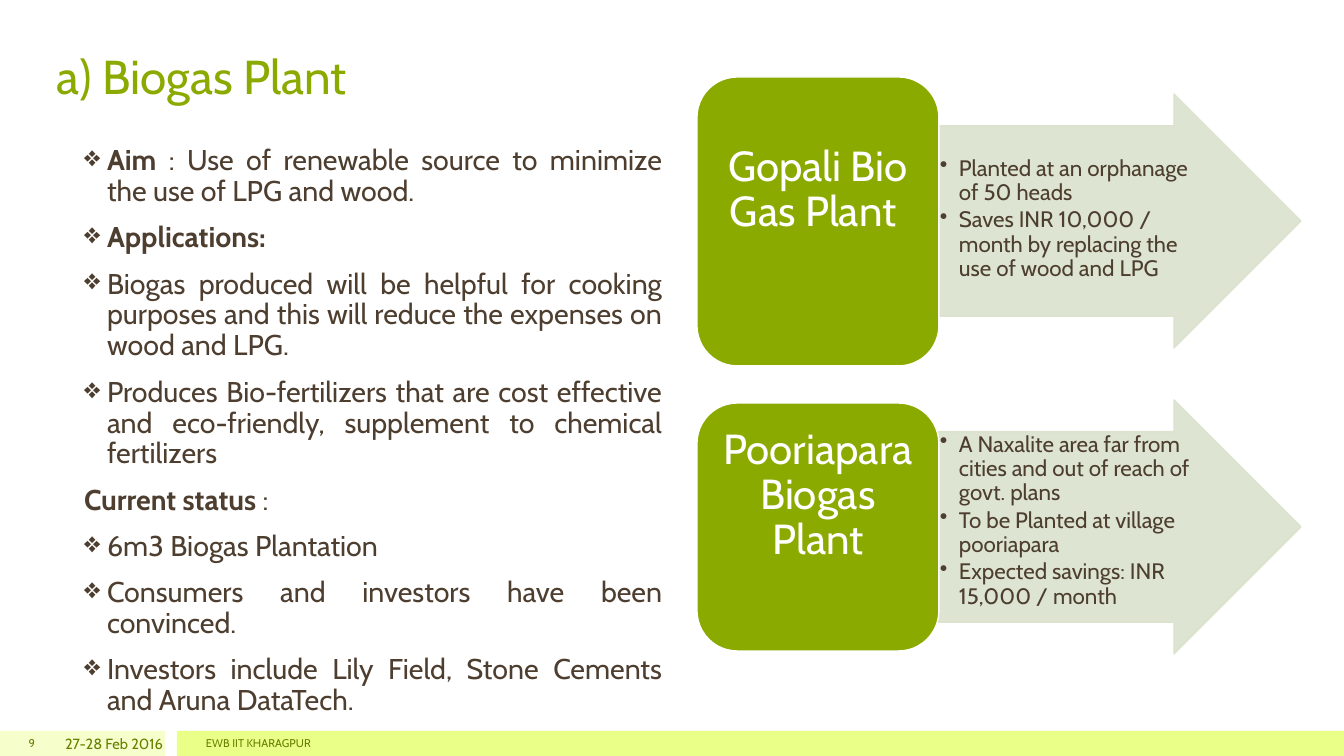
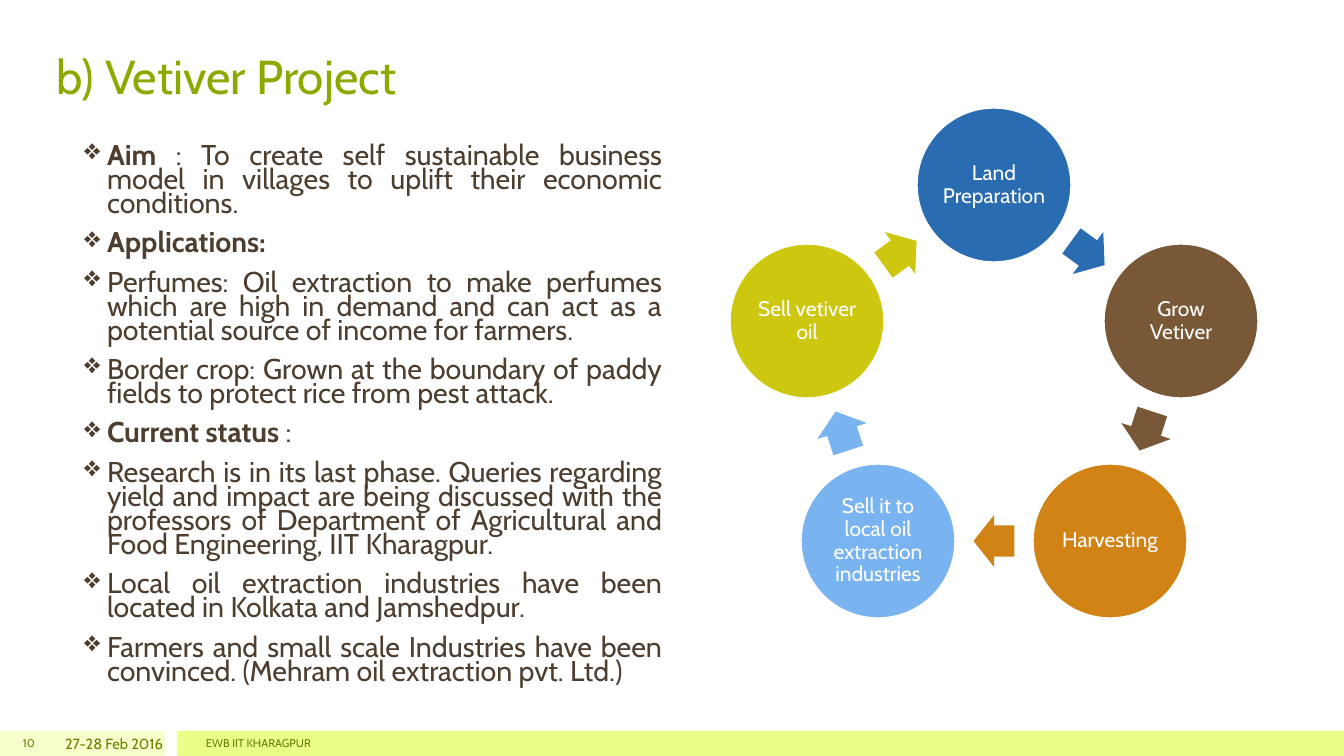
import math
from dataclasses import dataclass, replace
from lxml import etree
from pptx import Presentation
from pptx import util as u
from pptx.dml.color import RGBColor
from pptx.enum import shapes, text
from pptx.oxml.ns import qn

EMU_PER_PX = 914400 / 100.8
Kind = shapes.MSO_SHAPE
Align = text.PP_ALIGN
Anchor = text.MSO_ANCHOR


@dataclass(frozen=True)
class TextStyle:
    size: float
    color: str
    align: int = Align.LEFT
    line_spacing: float = 1.0
    before: float = 0
    after: float = 0
    bullet: str = ""
    indent: int = 0


@dataclass(frozen=True)
class Theme:
    font: str = "Cabin"
    green: str = "8BAA00"
    white: str = "FFFFFF"
    arrow: str = "DAE2CC"
    band_light: str = "F6FFCC"
    band_strong: str = "E9FF88"
    cycle: tuple = ("2A6CB2", "795837", "D18316", "79B4F0", "CDC80F")
    title: TextStyle = TextStyle(34, "8BAA00")
    body: TextStyle = TextStyle(20.4, "4D3E2F", Align.JUSTIFY, 0.9, before=11, bullet="❖", indent=23)
    detail: TextStyle = TextStyle(16, "4D3E2F", line_spacing=0.9, after=2.4, bullet="•", indent=19)
    card: TextStyle = TextStyle(30, "FFFFFF", Align.CENTER, 0.9)
    step: TextStyle = TextStyle(15, "FFFFFF", Align.CENTER, 0.9)
    footer: TextStyle = TextStyle(8, "688000")
    number: TextStyle = TextStyle(8, "688000", Align.RIGHT)
    date: TextStyle = TextStyle(10.5, "688000", Align.RIGHT)


theme = Theme()


def place(slide, kind, box, fill=None, line=None):
    """Add a preset shape, or a text box when kind is None; box is in px."""
    left, top, width, height = (round(value * EMU_PER_PX) for value in box)
    if kind is None:
        return slide.shapes.add_textbox(left, top, width, height)
    shape = slide.shapes.add_shape(kind, left, top, width, height)
    shape.shadow.inherit = False
    shape.fill.solid()
    shape.fill.fore_color.rgb = RGBColor.from_string(fill)
    if line:
        shape.line.color.rgb = RGBColor.from_string(line)
        shape.line.width = u.Pt(1)
    else:
        shape.line.fill.background()
    return shape


def write(shape, items, anchor=Anchor.MIDDLE, insets=(10, 5, 10, 5)):
    """Fill a shape with (style, runs) paragraphs; each run is (words, bold)."""
    frame = shape.text_frame
    frame.word_wrap = True
    frame.vertical_anchor = anchor
    frame.margin_left, frame.margin_top, frame.margin_right, frame.margin_bottom = (
        round(inset * EMU_PER_PX) for inset in insets)
    for index, (style, runs) in enumerate(items):
        paragraph = frame.add_paragraph() if index else frame.paragraphs[0]
        paragraph.alignment = style.align
        paragraph.line_spacing = style.line_spacing
        paragraph.space_before = u.Pt(style.before)
        paragraph.space_after = u.Pt(style.after)
        if style.bullet:
            properties = paragraph._p.get_or_add_pPr()
            indent = round(style.indent * EMU_PER_PX)
            properties.set("marL", str(indent))
            properties.set("indent", str(-indent))
            etree.SubElement(properties, qn("a:buChar")).set("char", style.bullet)
        for words, bold in runs:
            run = paragraph.add_run()
            run.text = words
            run.font.name = theme.font
            run.font.size = u.Pt(style.size)
            run.font.bold = bold
            run.font.color.rgb = RGBColor.from_string(style.color)


presentation = Presentation()
presentation.slide_width = round(1344 * EMU_PER_PX)
presentation.slide_height = round(756 * EMU_PER_PX)

plain = theme.body
unbulleted = replace(plain, bullet="")
tight = replace(plain, line_spacing=0.7)

pages = [
    ("9", "a) Biogas Plant", [
        (plain, [("Aim ", True), (": Use of renewable source to minimize the use of LPG and wood.", False)]),
        (plain, [("Applications:", True)]),
        (plain, [("Biogas produced will be helpful for cooking purposes and this will "
                  "reduce the expenses on wood and LPG.", False)]),
        (plain, [("Produces Bio-fertilizers that are cost effective and eco-friendly, "
                  "supplement to chemical fertilizers", False)]),
        (unbulleted, [("Current status ", True), (":", False)]),
        (plain, [("6m3 Biogas Plantation", False)]),
        (plain, [("Consumers and investors have been convinced.", False)]),
        (plain, [("Investors include Lily Field, Stone Cements and Aruna DataTech.", False)]),
    ]),
    ("10", "b) Vetiver Project", [
        (tight, [("Aim ", True), (": To create self sustainable business model in villages "
                                  "to uplift their economic conditions.", False)]),
        (tight, [("Applications:", True)]),
        (tight, [("Perfumes: Oil extraction to make perfumes which are high in demand and "
                  "can act as a potential source of income for farmers.", False)]),
        (tight, [("Border crop: Grown at the boundary of paddy fields to protect rice "
                  "from pest attack.", False)]),
        (tight, [("Current status ", True), (":", False)]),
        (tight, [("Research is in its last phase. Queries regarding yield and impact are being "
                  "discussed with the professors of Department of Agricultural and Food "
                  "Engineering, IIT Kharagpur.", False)]),
        (tight, [("Local oil extraction industries have been located in Kolkata and Jamshedpur.", False)]),
        (tight, [("Farmers and small scale Industries have been convinced. "
                  "(Mehram oil extraction pvt. Ltd.)", False)]),
    ]),
]

# Shared frame: bands, title, body and footer
slides = []
for number, title, body in pages:
    slide = presentation.slides.add_slide(presentation.slide_layouts[6])
    slides.append(slide)
    place(slide, Kind.RECTANGLE, (0, 731, 165, 25), theme.band_light)
    place(slide, Kind.RECTANGLE, (177, 731, 1167, 25), theme.band_strong)
    write(place(slide, None, (47, 0, 1032, 109)), [(theme.title, [(title, False)])], Anchor.BOTTOM)
    write(place(slide, None, (74, 141, 598, 560)), body, Anchor.TOP)
    for left, width, style, words in [
        (0, 45, theme.number, number),
        (45, 128, theme.date, "27-28 Feb 2016"),
        (196, 1008, theme.footer, "EWB IIT KHARAGPUR"),
    ]:
        write(place(slide, None, (left, 731, width, 25)), [(style, [(words, False)])])

biogas_slide, vetiver_slide = slides

# Plants: a card with an arrow of details
plants = [
    ("Gopali Bio Gas Plant ", 77, 289, 94, 31, [
        "Planted at an orphanage of 50 heads",
        "Saves INR 10,000 / month by replacing the use of wood and LPG",
    ]),
    ("Pooriapara Biogas Plant", 403, 248, 400, 1, [
        "A Naxalite area far from cities and out of reach of govt. plans",
        "To be Planted at village pooriapara",
        "Expected savings: INR 15,000 / month",
    ]),
]
for name, card_top, card_height, arrow_top, text_inset, details in plants:
    arrow = place(biogas_slide, Kind.RIGHT_ARROW, (938, arrow_top, 363, 254), theme.arrow, theme.arrow)
    arrow.adjustments[0] = 0.75
    arrow.adjustments[1] = 0.5
    for color in arrow._element.spPr.iter(qn("a:srgbClr")):
        etree.SubElement(color, qn("a:alpha")).set("val", "90000")
    detail_box = place(biogas_slide, None, (939, arrow_top + 32, 268, 190))
    write(detail_box, [(theme.detail, [(detail, False)]) for detail in details],
          Anchor.TOP, (1, text_inset, 1, 1))
    card = place(biogas_slide, Kind.ROUNDED_RECTANGLE, (697, card_top, 242, card_height),
                 theme.green, theme.white)
    write(card, [(theme.card, [(name, False)])], insets=(12, 6, 12, 68))

# Cycle: circles on a ring, each followed by an arrow halfway to the next
steps = ["Land Preparation", "Grow Vetiver", "Harvesting",
         "Sell it to local oil extraction industries", "Sell vetiver oil"]
center_x, center_y, radius = 994, 382, 197
diameter, arrow_length, arrow_width = 154, 41, 52
sector = 360 / len(steps)
arrow_radius = radius * math.cos(math.radians(sector / 2))
for index, (step, color) in enumerate(zip(steps, theme.cycle)):
    angle = math.radians(index * sector - 90)
    x = round(center_x + radius * math.cos(angle))
    y = round(center_y + radius * math.sin(angle))
    circle = place(vetiver_slide, Kind.OVAL,
                   (x - diameter / 2, y - diameter / 2, diameter, diameter), color, theme.white)
    write(circle, [(theme.step, [(step, False)])], insets=(2, 2, 2, 2))

    angle += math.radians(sector / 2)
    x = round(center_x + arrow_radius * math.cos(angle))
    y = round(center_y + arrow_radius * math.sin(angle))
    arrow = place(vetiver_slide, Kind.RIGHT_ARROW,
                  (x - arrow_length / 2, y - arrow_width / 2, arrow_length, arrow_width), color)
    arrow.adjustments[0] = 0.6
    arrow.adjustments[1] = 0.5
    arrow.rotation = (index + 0.5) * sector

presentation.save("out.pptx")
